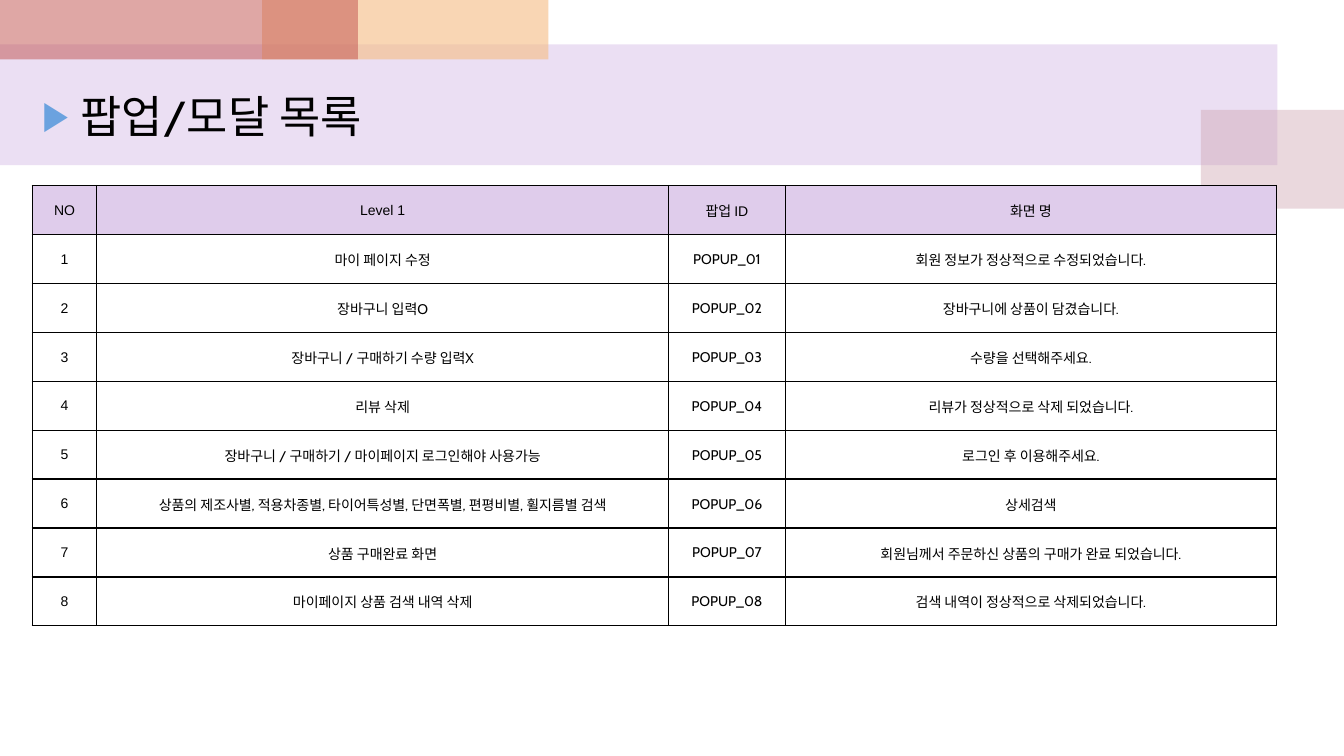
"""Build the slide that lists the popups and modals of a tyre shop."""
from dataclasses import dataclass

from lxml import etree
from pptx import Presentation
from pptx import util as u
from pptx.dml.color import RGBColor
from pptx.enum import shapes, text
from pptx.oxml import ns


@dataclass(frozen=True)
class Theme:
    ink: str = "000000"
    band: str = "BF98D8"
    rose: str = "CC9EAC"
    peach: str = "F5BC83"
    red: str = "C0504D"
    mark: str = "6BA2DF"
    head: str = "DFCCEB"
    plain: str = "Arial"
    brand: str = "Cabin"
    title: int = 32
    body: int = 10
    rule: int = 1


def add(parent, tag, **attrs):
    return etree.SubElement(parent, ns.qn(tag), {k: str(v) for k, v in attrs.items()})


class Deck:
    def __init__(self, theme):
        self.theme = theme
        self.file = Presentation()
        self.file.slide_width, self.file.slide_height = u.Inches(13.33), u.Inches(7.5)
        self.slide = self.file.slides.add_slide(self.file.slide_layouts[6])

    def style(self, para, size, font):
        para.font.size, para.font.name = u.Pt(size), font
        para.font.color.rgb = RGBColor.from_string(self.theme.ink)

    def block(self, box, color, alpha):
        shape = self.slide.shapes.add_shape(
            shapes.MSO_SHAPE.RECTANGLE, *map(u.Inches, box))
        shape.shadow.inherit = False
        shape.line.fill.background()
        shape.fill.solid()
        shape.fill.fore_color.rgb = RGBColor.from_string(color)
        tint = shape.fill._xPr.find(".//" + ns.qn("a:srgbClr"))
        add(tint, "a:alpha", val=alpha * 1000)

    def title(self, box, words):
        frame = self.slide.shapes.add_textbox(*map(u.Inches, box)).text_frame
        frame.word_wrap = True
        para = frame.paragraphs[0]
        para.text = words
        props = para._p.get_or_add_pPr()
        props.set("marL", str(u.Inches(0.38)))
        props.set("indent", str(-u.Inches(0.38)))
        add(add(props, "a:buClr"), "a:srgbClr", val=self.theme.mark)
        add(props, "a:buSzPct", val=90000)
        add(props, "a:buFont", typeface=self.theme.plain)
        add(props, "a:buChar", char="▶")
        self.style(para, self.theme.title, self.theme.brand)

    def border(self, cell):
        props = cell._tc.get_or_add_tcPr()
        for side in "LRTB":
            line = add(props, f"a:ln{side}", w=u.Pt(self.theme.rule))
            add(add(line, "a:solidFill"), "a:srgbClr", val=self.theme.ink)

    def cell(self, cell, words, head, font):
        cell.text = words
        cell.vertical_anchor = text.MSO_ANCHOR.MIDDLE
        cell.margin_left = cell.margin_right = u.Inches(0.04 if head else 0.01)
        cell.margin_top, cell.margin_bottom = u.Inches(0.01), 0
        para = cell.text_frame.paragraphs[0]
        para.alignment = text.PP_ALIGN.CENTER
        self.style(para, self.theme.body, font)
        self.border(cell)
        if head:
            cell.fill.solid()
            cell.fill.fore_color.rgb = RGBColor.from_string(self.theme.head)
        else:
            cell.fill.background()

    def table(self, box, widths, rows):
        grid = self.slide.shapes.add_table(
            len(rows), len(widths), *map(u.Inches, box)).table
        for col, width in zip(grid.columns, widths):
            col.width = u.Inches(width)
        for r, row in enumerate(rows):
            grid.rows[r].height = u.Inches(box[3] / len(rows))
            for c, words in enumerate(row):
                font = self.theme.brand if r and c else self.theme.plain
                self.cell(grid.cell(r, c), words, r == 0, font)


HEADS = ("NO", "Level 1", "팝업 ID", "화면 명")
POPUPS = (
    ("마이 페이지 수정", "회원 정보가 정상적으로 수정되었습니다."),
    ("장바구니 입력O", "장바구니에 상품이 담겼습니다."),
    ("장바구니 / 구매하기 수량 입력X", "수량을 선택해주세요."),
    ("리뷰 삭제", "리뷰가 정상적으로 삭제 되었습니다."),
    ("장바구니 / 구매하기 / 마이페이지 로그인해야 사용가능", "로그인 후 이용해주세요."),
    ("상품의 제조사별, 적용차종별, 타이어특성별, 단면폭별, 편평비별, 휠지름별 검색", "상세검색"),
    ("상품 구매완료 화면", "회원님께서 주문하신 상품의 구매가 완료 되었습니다."),
    ("마이페이지 상품 검색 내역 삭제", "검색 내역이 정상적으로 삭제되었습니다."),
)

theme = Theme()
deck = Deck(theme)
for box, color, alpha in (
    ((0, 0.44, 12.67, 1.2), theme.band, 30),
    ((11.91, 1.09, 1.43, 0.98), theme.rose, 40),
    ((2.6, 0, 2.84, 0.59), theme.peach, 60),
    ((0, 0, 3.55, 0.59), theme.red, 50),
):
    deck.block(box, color, alpha)
deck.title((0.32, 0.83, 6.77, 0.32), "팝업/모달 목록")
rows = [HEADS] + [(str(n), level, f"POPUP_{n:02}", screen)
                  for n, (level, screen) in enumerate(POPUPS, 1)]
deck.table((0.32, 1.84, 12.34, 4.37), (0.64, 5.67, 1.16, 4.87), rows)
deck.file.save("out.pptx")
